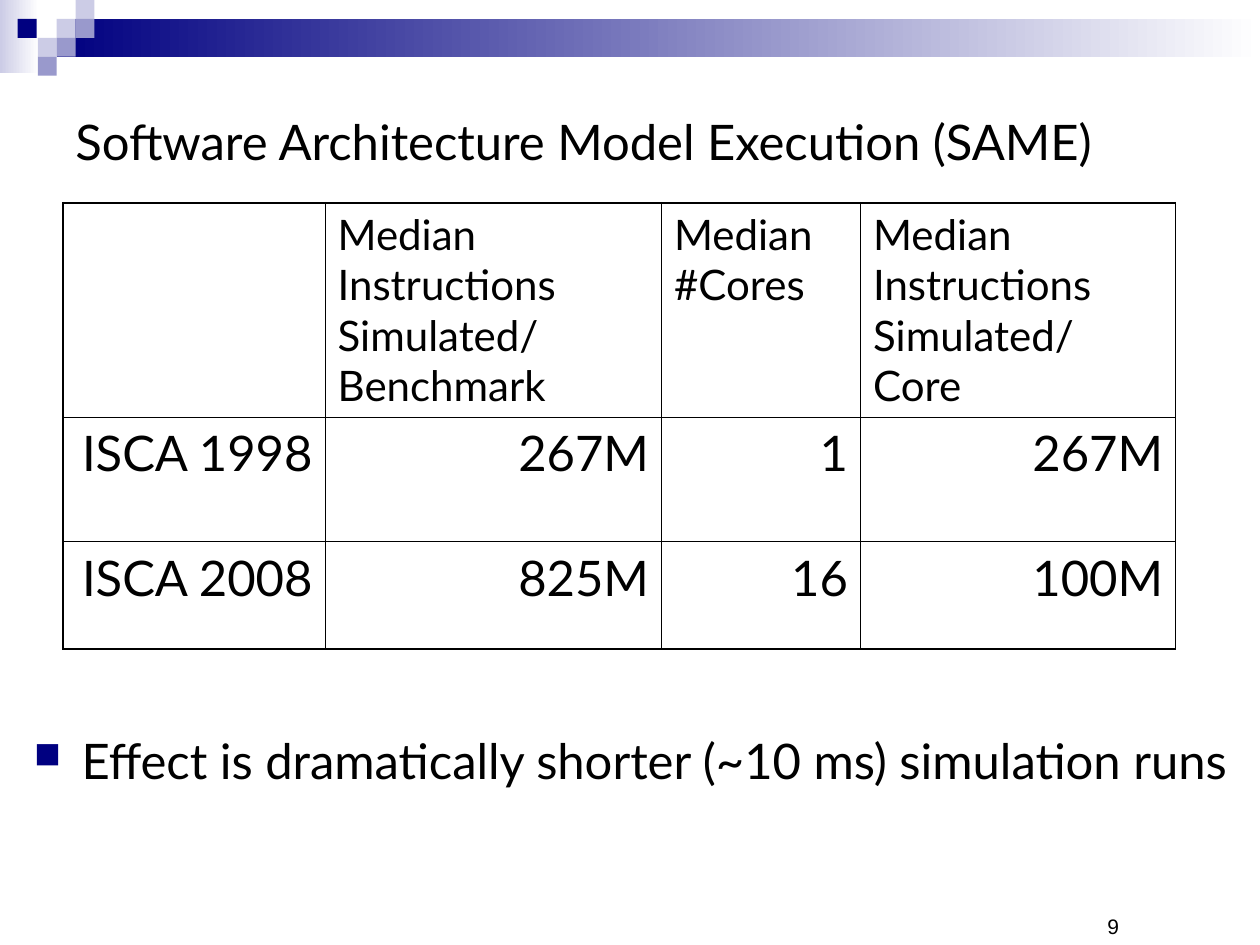
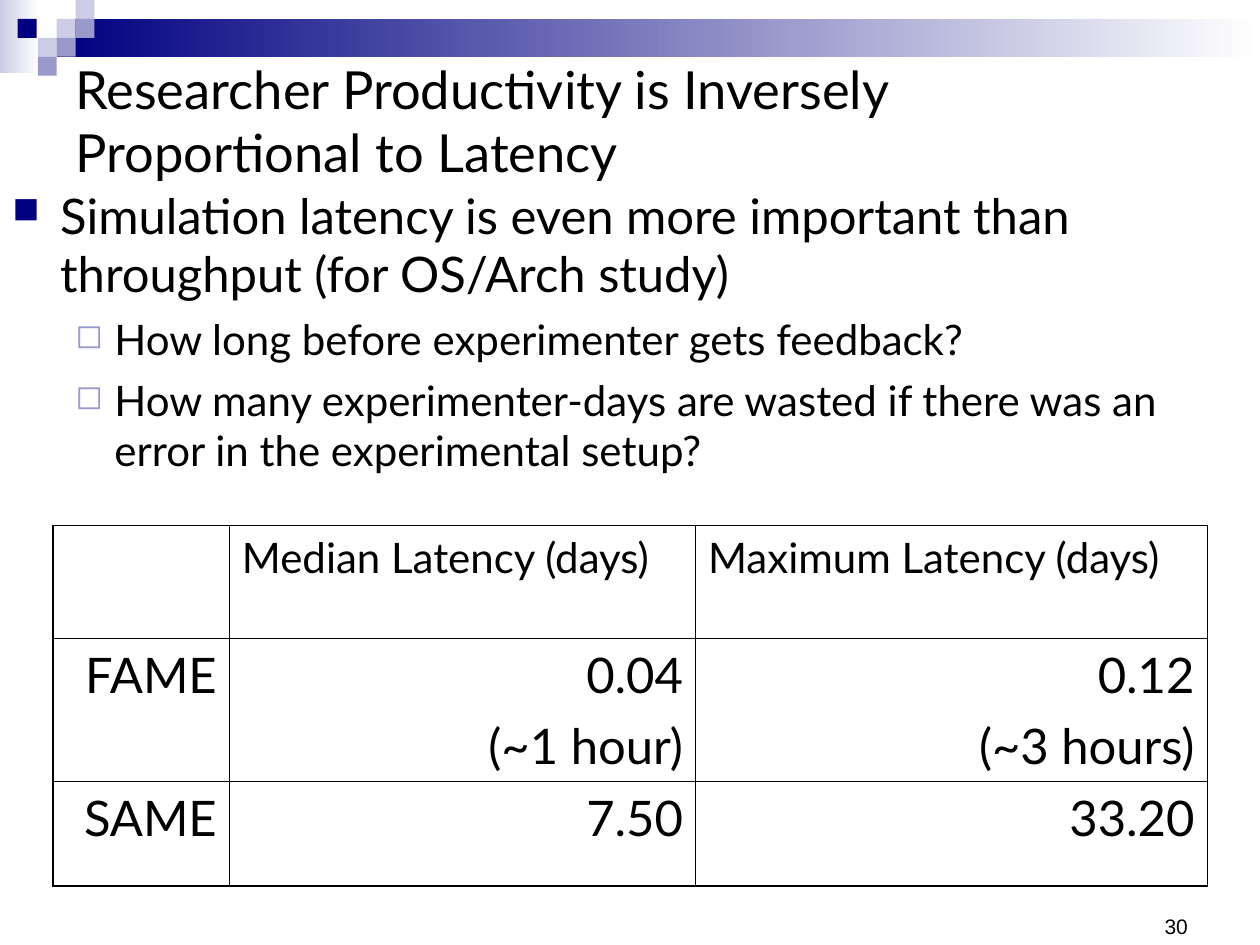
"""Build two slides comparing simulation effort and latency in SAME and FAME."""
from lxml import etree
from pptx import Presentation
from pptx.dml.color import RGBColor
from pptx.enum.shapes import MSO_SHAPE
from pptx.enum.text import MSO_ANCHOR, PP_ALIGN
from pptx.oxml import parse_xml
from pptx.oxml.ns import nsdecls, qn
from pptx.util import Inches, Pt

BLACK, WHITE = "000000", "FFFFFF"
NAVY, LILAC, PALE = "000080", "9999CC", "CCCCE6"
THIN, THICK = 0.45, 1.08

BANDS = [(0, 0, 0.31, 0.58, PALE), (0.45, 0.15, 9.55, 0.3, NAVY)]
SQUARES = [
    (0.45, 0.15, PALE), (0.6, 0, PALE), (0.6, 0.15, LILAC), (0.3, 0.3, PALE),
    (0.14, 0.15, NAVY), (0.45, 0.3, LILAC), (0.3, 0.45, LILAC),
]
BULLETS = [
    dict(char="■", color=NAVY, scale=75, left=0.38, hang=0.38, size=28, before=7),
    dict(char="◻", color=LILAC, scale=80, left=0.81, hang=0.31, size=24, before=6),
]

SLIDES = [
    dict(
        title="Software Architecture Model Execution (SAME)",
        title_at=(0.5, 0.87, 8.75, 0.5), title_size=28,
        body=[(0, "Effect is dramatically shorter (~10 ms) simulation runs")],
        body_at=(0.17, 5.75, 9.83, 1.75),
        number="9", number_at=(7.67, 7.24, 2.33, 0.26),
        table_at=(0.5, 1.61), right_edge=THICK,
        cols=[2.08, 2.67, 1.58, 2.5], rows=[1.7, 0.99, 0.85],
        cells=[
            ["", "Median Instructions Simulated/ Benchmark", "Median #Cores",
             "Median Instructions Simulated/ Core"],
            ["ISCA 1998", "267M", "1", "267M"],
            ["ISCA 2008", "825M", "16", "100M"],
        ],
    ),
    dict(
        title="Researcher Productivity is Inversely Proportional to Latency",
        title_at=(0.5, 0.33, 9, 1.25), title_size=30,
        body=[
            (0, "Simulation latency is even more important than throughput (for OS/Arch study)"),
            (1, "How long before experimenter gets feedback?"),
            (1, "How many experimenter-days are wasted if there was an error "
                "in the experimental setup?"),
        ],
        body_at=(0, 1.42, 10, 2.5),
        number="30", number_at=(8.67, 7, 1.33, 0.5),
        table_at=(0.42, 4.17), right_edge=THIN,
        cols=[1.4, 3.7, 4.06], rows=[0.9, 1.13, 0.83],
        cells=[
            ["", "Median Latency (days)", "Maximum Latency (days)"],
            ["FAME", "0.04\n(~1 hour)", "0.12\n(~3 hours)"],
            ["SAME", "7.50", "33.20"],
        ],
    ),
]


def rgb(color):
    return RGBColor.from_string(color)


def add_run(p, text, size, font="Lato"):
    r = p.add_run()
    r.text = text
    r.font.size = Pt(size)
    r.font.name = font
    r.font.color.rgb = rgb(BLACK)


prs = Presentation()
prs.slide_width, prs.slide_height = Inches(10), Inches(7.5)

for data in SLIDES:
    s = prs.slides.add_slide(prs.slide_layouts[6])

    blocks = BANDS + [(x, y, 0.15, 0.15, color) for x, y, color in SQUARES]
    for i, (x, y, w, h, color) in enumerate(blocks):
        sp = s.shapes.add_shape(MSO_SHAPE.RECTANGLE, *map(Inches, (x, y, w, h)))
        sp.shadow.inherit = False
        sp.line.fill.background()
        if i < len(BANDS):
            sp.fill.gradient()
            sp.fill.gradient_angle = 0
            for stop, shade in zip(sp.fill.gradient_stops, (color, WHITE)):
                stop.color.rgb = rgb(shade)
        else:
            sp.fill.solid()
            sp.fill.fore_color.rgb = rgb(color)

    tf = s.shapes.add_textbox(*map(Inches, data["title_at"])).text_frame
    tf.word_wrap = True
    tf.vertical_anchor = MSO_ANCHOR.MIDDLE
    add_run(tf.paragraphs[0], data["title"], data["title_size"])

    tf = s.shapes.add_textbox(*map(Inches, data["body_at"])).text_frame
    tf.word_wrap = True
    for i, (level, text) in enumerate(data["body"]):
        p = tf.add_paragraph() if i else tf.paragraphs[0]
        b = BULLETS[level]
        p.level = level
        pPr = p._p.get_or_add_pPr()
        pPr.set("marL", str(Inches(b["left"])))
        pPr.set("indent", str(-Inches(b["hang"])))
        clr = etree.SubElement(pPr, qn("a:buClr"))
        etree.SubElement(clr, qn("a:srgbClr"), val=b["color"])
        etree.SubElement(pPr, qn("a:buSzPct"), val=str(b["scale"] * 1000))
        etree.SubElement(pPr, qn("a:buChar"), char=b["char"])
        if i:
            p.space_before = Pt(b["before"])
        add_run(p, text, b["size"])

    tf = s.shapes.add_textbox(*map(Inches, data["number_at"])).text_frame
    tf.word_wrap = True
    tf.vertical_anchor = MSO_ANCHOR.BOTTOM
    tf.paragraphs[0].alignment = PP_ALIGN.CENTER
    add_run(tf.paragraphs[0], data["number"], 12, "Arial")

    cols, rows = data["cols"], data["rows"]
    size = (sum(cols), sum(rows))
    tbl = s.shapes.add_table(len(rows), len(cols), *map(Inches, data["table_at"] + size)).table
    tbl.first_row = tbl.horz_banding = False
    for col, w in zip(tbl.columns, cols):
        col.width = Inches(w)
    for row, h in zip(tbl.rows, rows):
        row.height = Inches(h)
    for i, texts in enumerate(data["cells"]):
        for j, text in enumerate(texts):
            cell = tbl.cell(i, j)
            edges = {
                "L": THIN if j else THICK,
                "R": data["right_edge"] if j == len(cols) - 1 else THIN,
                "T": THIN if i else THICK,
                "B": THICK if i == len(rows) - 1 else THIN,
            }
            tcPr = cell._tc.get_or_add_tcPr()
            for side, width in edges.items():
                tcPr.append(parse_xml(
                    f'<a:ln{side} {nsdecls("a")} w="{Pt(width)}"><a:solidFill>'
                    f'<a:srgbClr val="{BLACK}"/></a:solidFill></a:ln{side}>'))
            cell.fill.background()
            if not text:
                continue
            tf = cell.text_frame
            for k, line in enumerate(text.split("\n")):
                p = tf.add_paragraph() if k else tf.paragraphs[0]
                p.alignment = PP_ALIGN.RIGHT if i else PP_ALIGN.LEFT
                if k:
                    p.space_before = Pt(7)
                add_run(p, line, 28 if i else 24)

prs.save("out.pptx")
